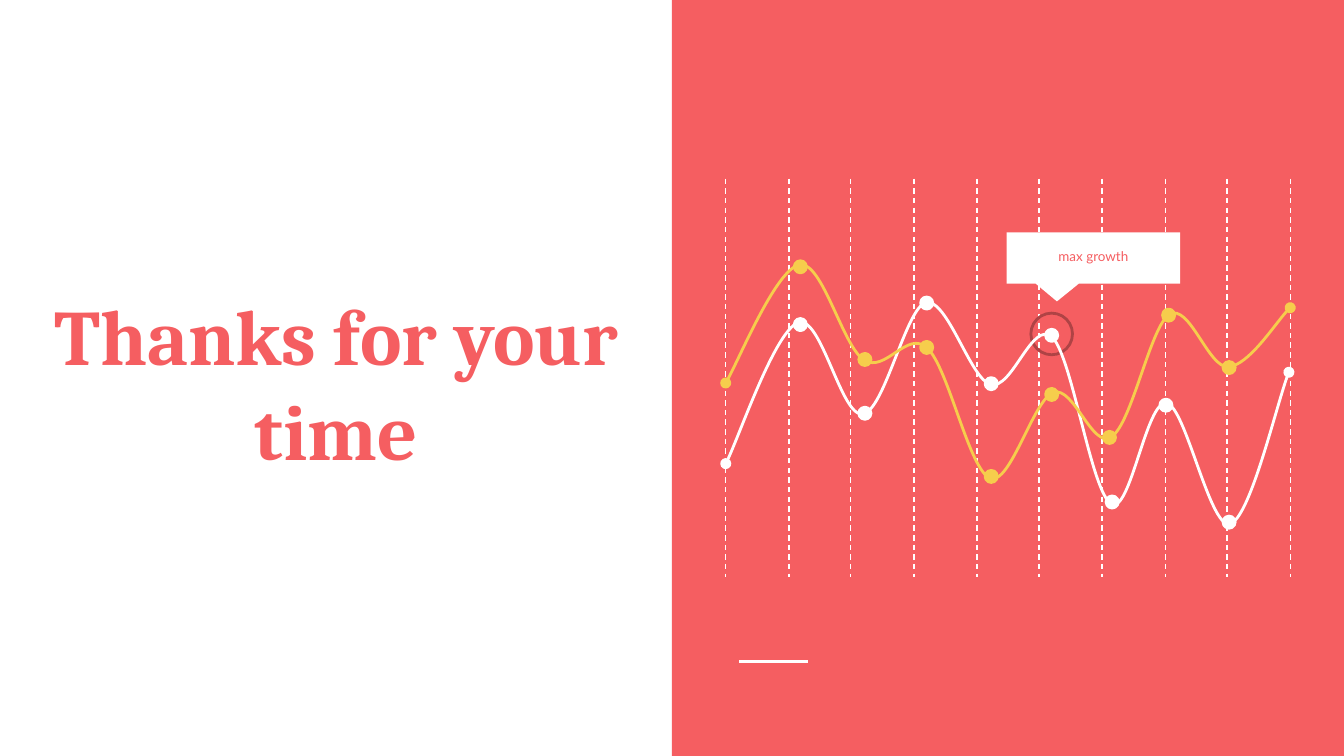
import pptx
import pptx.dml.color
import pptx.enum.dml
import pptx.enum.shapes
import pptx.enum.text
import pptx.oxml
import pptx.oxml.ns
import pptx.util

PX = 9144  # EMU per px, 100 px to the inch
WIDTH = 1000
DOT = 9

RGB = pptx.dml.color.RGBColor
WHITE = RGB(0xFF, 0xFF, 0xFF)
CORAL = RGB(0xF5, 0x5E, 0x61)
MAROON = RGB(0xAF, 0x43, 0x45)
YELLOW = RGB(0xF6, 0xCD, 0x4C)

KIND = pptx.enum.shapes.MSO_SHAPE
ANCHOR = pptx.enum.text.MSO_ANCHOR
qn = pptx.oxml.ns.qn
NS = pptx.oxml.ns.nsdecls("a")

# Each curve is a start knot, then two handles and a knot per bend.
WHITE_CURVE = [
    (540, 345),
    (549, 328), (577, 246), (594, 240),
    (611, 234), (626, 311), (642, 308),
    (658, 306), (674, 229), (689, 225),
    (705, 222), (722, 282), (737, 286),
    (753, 291), (768, 237), (783, 251),
    (798, 266), (812, 367), (827, 375),
    (841, 383), (853, 297), (868, 300),
    (882, 302), (900, 393), (915, 390),
    (930, 386), (951, 296), (959, 277),
]
WHITE_DOTS = [(591, 237), (639, 303), (685, 221), (733, 281),
              (778, 245), (823, 369), (863, 297), (910, 384)]
YELLOW_CURVE = [
    (540, 285),
    (549, 270), (578, 200), (595, 197),
    (612, 194), (627, 258), (643, 268),
    (659, 278), (675, 245), (690, 259),
    (706, 274), (721, 350), (737, 356),
    (752, 361), (769, 297), (784, 292),
    (799, 287), (813, 335), (827, 325),
    (842, 316), (856, 243), (870, 234),
    (885, 225), (899, 274), (914, 273),
    (929, 272), (952, 236), (960, 229),
]
YELLOW_DOTS = [(591, 194), (639, 263), (685, 254), (733, 350),
               (778, 289), (821, 321), (865, 230), (910, 269)]


class Canvas:
    def __init__(self, slide):
        self.slide = slide
        self.shapes = slide.shapes
        self.stroke = pptx.util.Pt(1.5)
        self.inset = 10 * PX

    def group(self):
        """Send the elements that follow into a new group."""
        self.shapes = self.slide.shapes.add_group_shape().shapes

    def leave(self):
        """Send the elements that follow straight onto the slide."""
        self.shapes = self.slide.shapes

    def shape(self, kind, x, y, w, h, fill=None, line=None):
        item = self.shapes.add_shape(kind, x * PX, y * PX, w * PX, h * PX)
        self.paint(item, fill, line)
        return item

    def paint(self, item, fill, line):
        item.shadow.inherit = False
        if fill is None:
            item.fill.background()
        else:
            item.fill.solid()
            item.fill.fore_color.rgb = fill
        if line is None:
            item.line.fill.background()
        else:
            item.line.color.rgb = line
            item.line.width = self.stroke

    def line(self, x1, y1, x2, y2, width, dash=None):
        rule = self.shapes.add_connector(
            pptx.enum.shapes.MSO_CONNECTOR.STRAIGHT,
            x1 * PX, y1 * PX, x2 * PX, y2 * PX)
        rule.line.color.rgb = WHITE
        rule.line.width = pptx.util.Pt(width)
        if dash is not None:
            rule.line.dash_style = dash
        rule.element.spPr.append(pptx.oxml.parse_xml(f"<a:effectLst {NS}/>"))

    def curve(self, points, color):
        """Draw an open Bezier curve with an oval at each end."""
        pen = self.shapes.build_freeform(*points[0], scale=PX)
        pen.add_line_segments(points[1:], close=False)
        item = pen.convert_to_shape()
        self.paint(item, None, color)
        path = next(item.element.iter(qn("a:path")))
        legs = path.findall(qn("a:lnTo"))
        for i in range(0, len(legs), 3):
            bend = pptx.oxml.parse_xml(f"<a:cubicBezTo {NS}/>")
            for leg in legs[i:i + 3]:
                bend.append(leg[0])
                path.remove(leg)
            path.append(bend)
        stroke = item.element.spPr.find(qn("a:ln"))
        for end in ("headEnd", "tailEnd"):
            stroke.append(pptx.oxml.parse_xml(f'<a:{end} {NS} type="oval"/>'))

    def series(self, points, dots, color):
        self.group()
        self.curve(points, color)
        for x, y in dots:
            self.shape(KIND.OVAL, x, y, DOT, DOT, color, color)
        self.leave()

    def grid(self, left, right, top, bottom, count):
        self.group()
        for i in range(count):
            x = left + round(i * (right - left) / (count - 1))
            self.line(x, top, x, bottom, 0.75, pptx.enum.dml.MSO_LINE.DASH)
        self.leave()

    def text(self, words, x, y, w, h, font, size, anchor, bold=False, space=None):
        box = self.shapes.add_textbox(x * PX, y * PX, w * PX, h * PX)
        frame = box.text_frame
        frame.text = words
        frame.word_wrap = True
        frame.vertical_anchor = anchor
        frame.margin_left = frame.margin_right = self.inset
        frame.margin_top = frame.margin_bottom = self.inset
        para = frame.paragraphs[0]
        para.alignment = pptx.enum.text.PP_ALIGN.CENTER
        para.line_spacing = space
        style = para.runs[0].font
        style.name = font
        style.size = pptx.util.Pt(size)
        style.bold = bold
        style.color.rgb = CORAL


def main():
    deck = pptx.Presentation()
    deck.slide_width = WIDTH * PX
    deck.slide_height = deck.slide_width * 9 // 16
    canvas = Canvas(deck.slides.add_slide(deck.slide_layouts[6]))

    canvas.shape(KIND.RECTANGLE, 500, 0, 500, 563, CORAL)
    canvas.line(550, 492, 601, 492, 1.5)
    canvas.grid(540, 960, 133, 429, 10)

    canvas.shape(KIND.OVAL, 767, 233, 31, 31, line=MAROON)
    canvas.text("Thanks for your time", 29, 180, 442, 184,
                "Cambria", 42, ANCHOR.BOTTOM, bold=True)
    canvas.series(WHITE_CURVE, WHITE_DOTS, WHITE)

    label = canvas.shape(KIND.ROUNDED_RECTANGULAR_CALLOUT, 749, 173, 129, 38, WHITE)
    for i, value in enumerate((-0.21, 0.85, 0)):
        label.adjustments[i] = value

    canvas.series(YELLOW_CURVE, YELLOW_DOTS, YELLOW)
    canvas.text("max growth", 749, 176, 129, 31,
                "Lato", 7.2, ANCHOR.MIDDLE, space=0.95)
    deck.save("out.pptx")


if __name__ == "__main__":
    main()
